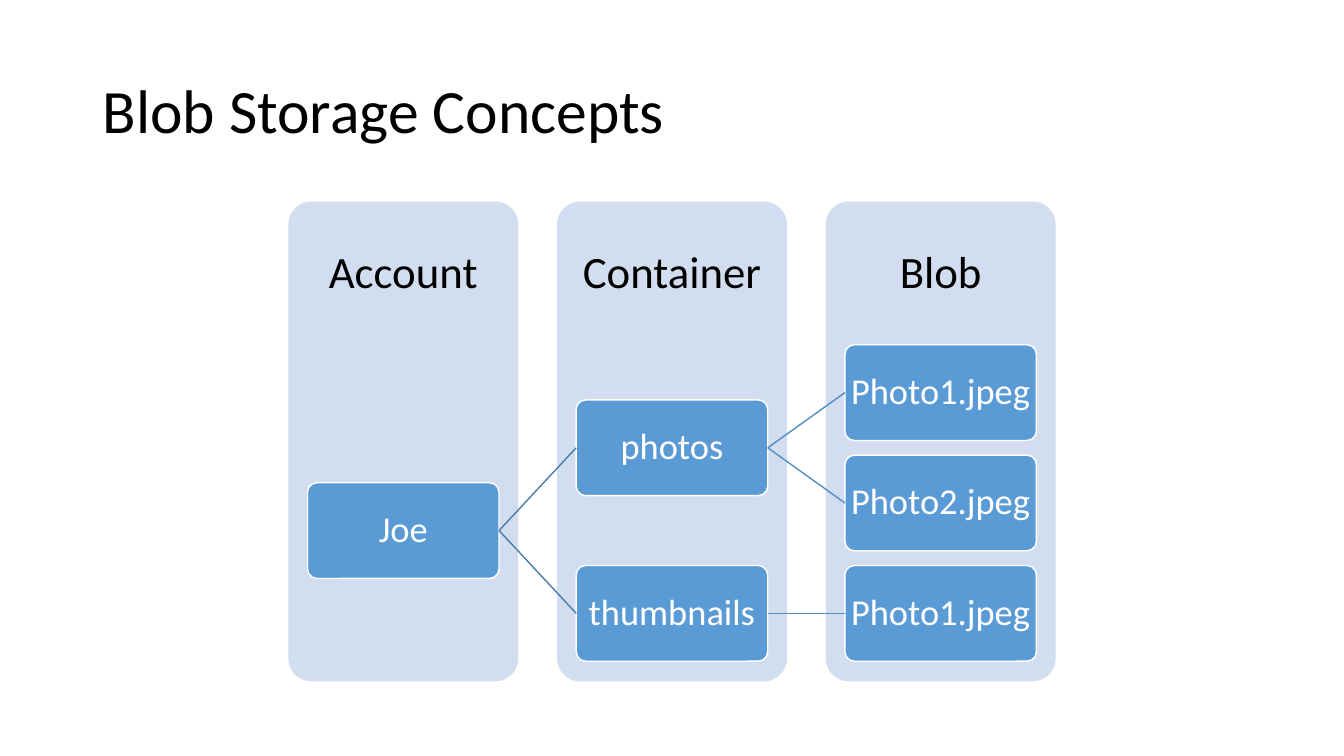
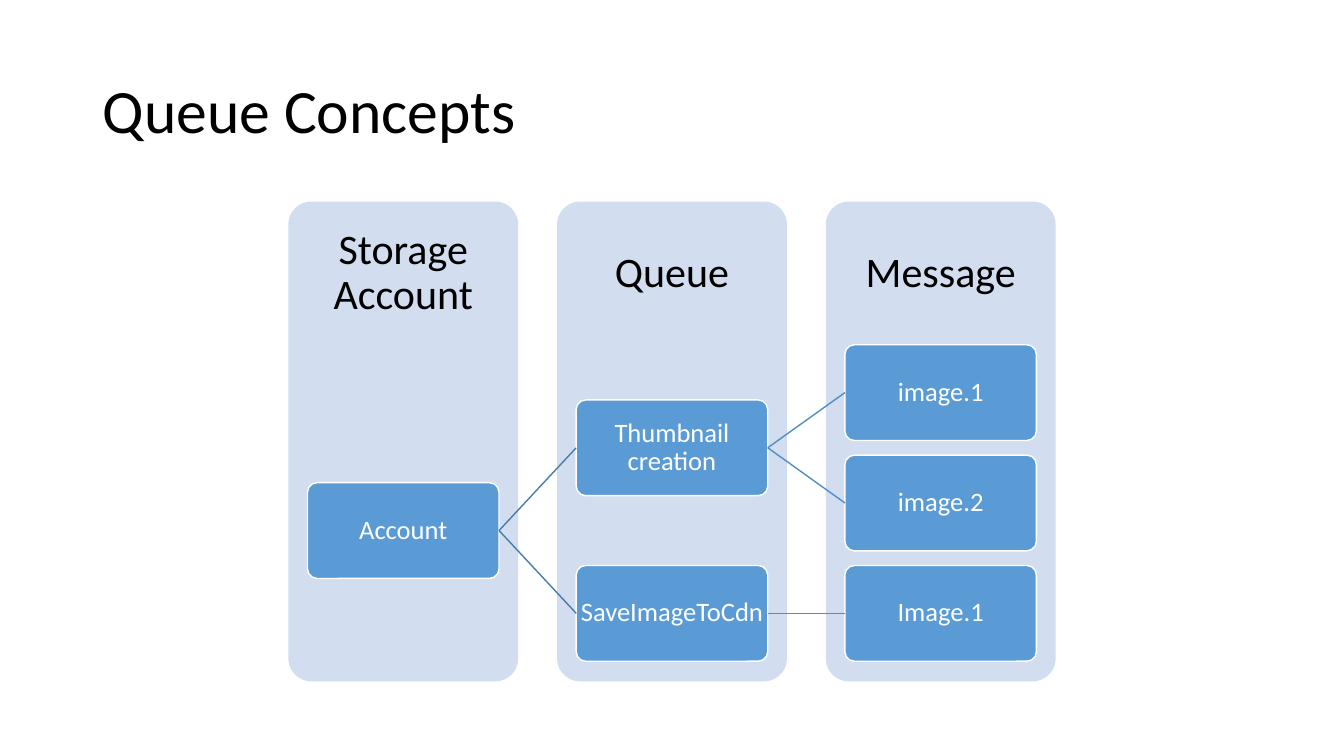
import itertools

import lxml.etree
import pptx
import pptx.dml.color
import pptx.enum.shapes
import pptx.enum.text
import pptx.oxml.ns
import pptx.util
from pptx.util import Inches

RGBColor = pptx.dml.color.RGBColor
MSO_SHAPE = pptx.enum.shapes.MSO_SHAPE
PP_ALIGN = pptx.enum.text.PP_ALIGN

BLACK = RGBColor(0x00, 0x00, 0x00)
WHITE = RGBColor(0xFF, 0xFF, 0xFF)
PANEL_BLUE = RGBColor(0xD2, 0xDE, 0xEF)
NODE_BLUE = RGBColor(0x5B, 0x9B, 0xD5)
LINK_COLORS = [RGBColor(0x49, 0x7C, 0xAB), RGBColor(0x53, 0x8D, 0xC1)]

FONT = "Calibri"
TITLE_ONLY_LAYOUT = 5
LEFT_SIDE, RIGHT_SIDE = 1, 3

TITLE_BOX = (Inches(0.92), Inches(0.4), Inches(11.5), Inches(1.45))
DIAGRAM_BOX = (Inches(2.86), Inches(2), Inches(7.61), Inches(4.76))
PANEL_WIDTH = Inches(2.28)
HEADING_HEIGHT = Inches(1.43)
NODE_WIDTH, NODE_HEIGHT = Inches(1.9), Inches(0.95)
FIRST_ROW_OFFSET = Inches(1.42)
BOTTOM_MARGIN = Inches(0.2)

SLIDES = [
    {
        "title": "Blob Storage Concepts",
        "headings": ["Account", "Container", "Blob"],
        "heading_style": (32, 0.25),
        "node_style": (26, 0.02),
        "tree": ("Joe", [
            ("photos", [("Photo1.jpeg", []), ("Photo2.jpeg", [])]),
            ("thumbnails", [("Photo1.jpeg", [])]),
        ]),
    },
    {
        "title": "Queue Concepts",
        "headings": ["Storage Account", "Queue", "Message"],
        "heading_style": (30, 0.23),
        "node_style": (19, 0.01),
        "tree": ("Account", [
            ("Thumbnail creation", [("image.1", []), ("image.2", [])]),
            ("SaveImageToCdn", [("Image.1", [])]),
        ]),
    },
]


def set_text(shape, text, size, color, alignment, inset):
    frame = shape.text_frame
    frame.text = text
    frame.word_wrap = True
    frame.auto_size = pptx.enum.text.MSO_AUTO_SIZE.NONE
    frame.vertical_anchor = pptx.enum.text.MSO_ANCHOR.MIDDLE
    if inset is not None:
        frame.margin_left = frame.margin_right = Inches(inset)
        frame.margin_top = frame.margin_bottom = Inches(inset)
    paragraph = frame.paragraphs[0]
    paragraph.alignment = alignment
    paragraph.line_spacing = 0.9
    font = paragraph.runs[0].font
    font.name = FONT
    font.size = pptx.util.Pt(size)
    font.color.rgb = color


def add_rounded_box(slide, box, fill, line=None):
    shape = slide.shapes.add_shape(MSO_SHAPE.ROUNDED_RECTANGLE, *box)
    shape.adjustments[0] = 0.1
    shape.shadow.inherit = False
    shape.fill.solid()
    shape.fill.fore_color.rgb = fill
    if line is None:
        shape.line.fill.background()
    else:
        shape.line.color.rgb = line
        shape.line.width = pptx.util.Pt(1)
    return shape


def add_link(slide, parent, child, color):
    connector = slide.shapes.add_connector(
        pptx.enum.shapes.MSO_CONNECTOR.STRAIGHT, 0, 0, 0, 0)
    connector.begin_connect(parent, RIGHT_SIDE)
    connector.end_connect(child, LEFT_SIDE)
    connector.line.color.rgb = color
    connector.line.width = pptx.util.Pt(1)
    lxml.etree.SubElement(
        connector._element.spPr, pptx.oxml.ns.qn("a:effectLst"))


def add_title(slide, text, box):
    title = slide.shapes.title
    title.left, title.top, title.width, title.height = box
    set_text(title, text, 44, BLACK, PP_ALIGN.LEFT, None)


def add_panel(slide, heading, style, box):
    left, top, width, height = box
    add_rounded_box(slide, box, PANEL_BLUE)
    label = slide.shapes.add_textbox(left, top, width, HEADING_HEIGHT)
    size, inset = style
    set_text(label, heading, size, BLACK, PP_ALIGN.CENTER, inset)


def count_leaves(tree):
    children = tree[1]
    return sum(map(count_leaves, children)) if children else 1


def add_tree(slide, tree, style, column_lefts, row_tops, depth=0):
    text, children = tree
    child_nodes = [
        add_tree(slide, child, style, column_lefts, row_tops, depth + 1)
        for child in children
    ]
    if child_nodes:
        top = (child_nodes[0].top + child_nodes[-1].top) // 2
    else:
        top = next(row_tops)
    box = (column_lefts[depth], top, NODE_WIDTH, NODE_HEIGHT)
    node = add_rounded_box(slide, box, NODE_BLUE, WHITE)
    size, inset = style
    set_text(node, text, size, WHITE, PP_ALIGN.CENTER, inset)
    for child_node in child_nodes:
        add_link(slide, node, child_node, LINK_COLORS[depth])
    return node


def add_diagram(slide, content, box):
    left, top, width, height = box
    headings = content["headings"]
    column_pitch = (width - PANEL_WIDTH) // (len(headings) - 1)
    panel_lefts = [left + i * column_pitch for i in range(len(headings))]
    for heading, panel_left in zip(headings, panel_lefts):
        add_panel(slide, heading, content["heading_style"],
                  (panel_left, top, PANEL_WIDTH, height))

    node_inset = (PANEL_WIDTH - NODE_WIDTH) // 2
    column_lefts = [panel_left + node_inset for panel_left in panel_lefts]
    row_space = height - FIRST_ROW_OFFSET - BOTTOM_MARGIN - NODE_HEIGHT
    row_pitch = row_space // (count_leaves(content["tree"]) - 1)
    row_tops = itertools.count(top + FIRST_ROW_OFFSET, row_pitch)
    add_tree(slide, content["tree"], content["node_style"],
             column_lefts, row_tops)


def add_concept_slide(presentation, content):
    layout = presentation.slide_layouts[TITLE_ONLY_LAYOUT]
    slide = presentation.slides.add_slide(layout)
    add_title(slide, content["title"], TITLE_BOX)
    add_diagram(slide, content, DIAGRAM_BOX)


def main():
    presentation = pptx.Presentation()
    presentation.slide_width = Inches(13.33)
    presentation.slide_height = Inches(7.5)
    for content in SLIDES:
        add_concept_slide(presentation, content)
    presentation.save("out.pptx")


if __name__ == "__main__":
    main()
